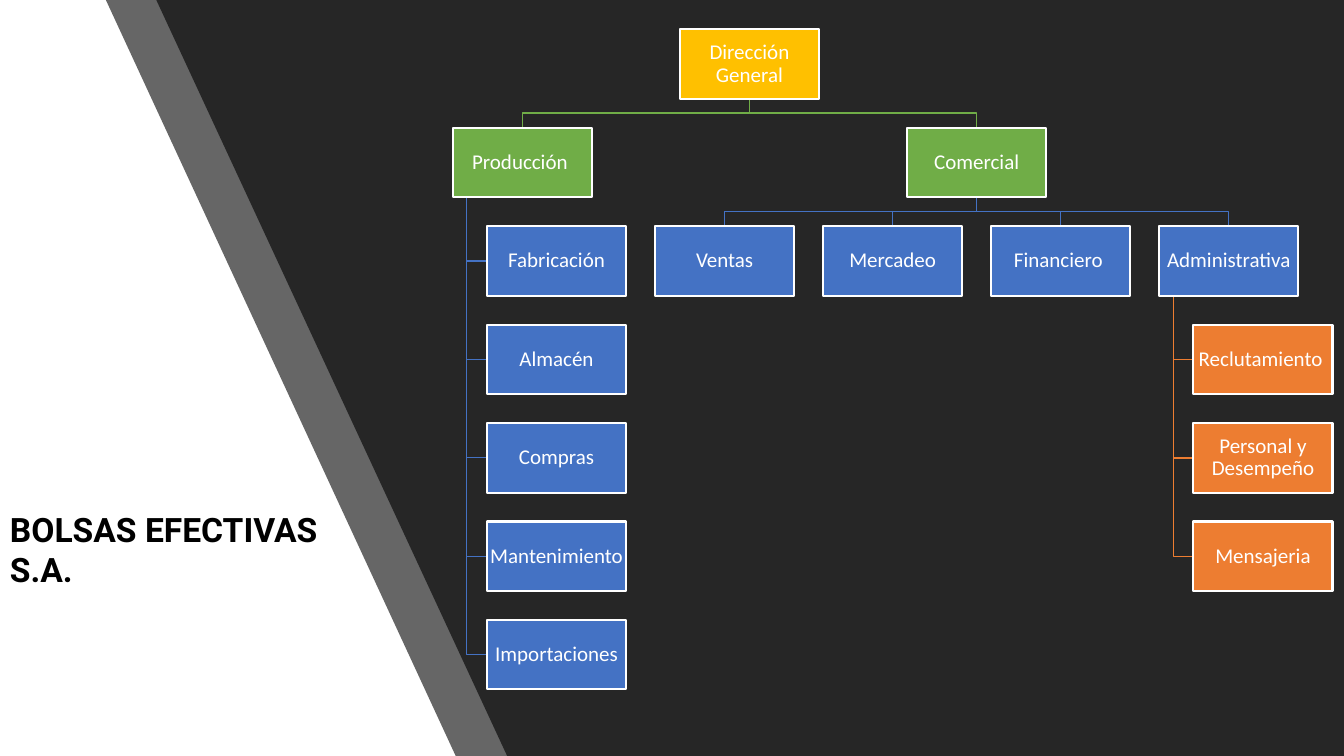
"""Builds the organisation chart slide of a bag maker."""
from lxml import etree
from pptx import Presentation
from pptx.dml.color import RGBColor
from pptx.enum.shapes import MSO_SHAPE
from pptx.enum.text import MSO_ANCHOR, PP_ALIGN
from pptx.oxml.ns import qn
from pptx.util import Inches, Pt

RECTANGLE = MSO_SHAPE.RECTANGLE
MIDDLE = MSO_ANCHOR.MIDDLE
CENTER = PP_ALIGN.CENTER

COMPANY = "BOLSAS EFECTIVAS S.A."
LEVEL_COLORS = ["FFC000", "70AD47", "4472C4", "ED7D31"]
WHITE, BLACK, DARK = "FFFFFF", "000000", "262626"

ROW, COLUMN = "row", "column"
ORGANIZATION = ("Dirección General", ROW, [
    ("Producción ", COLUMN, [
        "Fabricación", "Almacén", "Compras", "Mantenimiento ", "Importaciones"]),
    ("Comercial", ROW, [
        ("Ventas", COLUMN, []),
        ("Mercadeo", COLUMN, []),
        ("Financiero ", COLUMN, []),
        ("Administrativa", COLUMN, [
            "Reclutamiento ", "Personal y Desempeño", "Mensajeria"]),
    ]),
])

SLIDE_W, SLIDE_H = 13.33, 7.5
PANELS = [(1.05, 4.52, 70), (1.55, 5.03, 100)]
CHART_LEFT, CHART_TOP, LAST_TOP = 4.49, 0.29, 6.15
BOX_W, BOX_H = 1.38, 0.69
ROW_PITCH = (LAST_TOP - CHART_TOP) / 6
GAP = ROW_PITCH - BOX_H
INDENT, SPINE = 0.34, 0.14

boxes, branches = [], []


def color(hex_color):
    return RGBColor.from_string(hex_color)


def row_top(row):
    return CHART_TOP + row * ROW_PITCH


def place(unit, left, level):
    """Lay out a unit with its branch; return its box's left and the branch's right edge."""
    name, arrangement, children = unit
    bottom = row_top(level) + BOX_H
    tint = LEVEL_COLORS[level + 1] if children else None
    right = left + BOX_W
    if arrangement == ROW:
        child_lefts, cursor = [], left
        for child in children:
            child_left, right = place(child, cursor, level + 1)
            child_lefts.append(child_left)
            cursor = right + GAP
        left = (child_lefts[0] + child_lefts[-1]) / 2
        middle, bus = left + BOX_W / 2, bottom + GAP / 2
        for child_left in child_lefts:
            center = child_left + BOX_W / 2
            branches.append((tint, [(middle, bottom), (middle, bus),
                                    (center, bus), (center, bottom + GAP)]))
    elif children:
        right += INDENT
        spine, child_left = left + SPINE, left + INDENT
        for row, child in enumerate(children, level + 1):
            boxes.append((child, child_left, row_top(row), tint))
            stub = row_top(row) + BOX_H / 2
            branches.append((tint, [(spine, bottom), (spine, stub), (child_left, stub)]))
    boxes.append((name, left, row_top(level), LEVEL_COLORS[level]))
    return left, right


def draw_outline(slide, points, close):
    start, *others = [(Inches(x), Inches(y)) for x, y in points]
    builder = slide.shapes.build_freeform(*start)
    builder.add_line_segments(others, close=close)
    outline = builder.convert_to_shape()
    outline.shadow.inherit = False
    return outline


def draw_panel(slide, top_x, bottom_x, opacity):
    corners = [(SLIDE_W, SLIDE_H), (bottom_x, SLIDE_H), (top_x, 0), (SLIDE_W, 0)]
    panel = draw_outline(slide, corners, True)
    panel.fill.solid()
    panel.fill.fore_color.rgb = color(DARK)
    panel.line.fill.background()
    if opacity < 100:
        tone = panel.fill._xPr.find(qn("a:solidFill"))[0]
        etree.SubElement(tone, qn("a:alpha")).set("val", str(opacity * 1000))


def draw_branch(slide, tint, points):
    branch = draw_outline(slide, points, False)
    branch.fill.background()
    branch.line.color.rgb = color(tint)
    branch.line.width = Pt(1)


def draw_box(slide, name, left, top, tint):
    box = slide.shapes.add_shape(
        RECTANGLE, Inches(left), Inches(top), Inches(BOX_W), Inches(BOX_H))
    box.shadow.inherit = False
    box.fill.solid()
    box.fill.fore_color.rgb = color(tint)
    box.line.color.rgb = color(WHITE)
    box.line.width = Pt(1.5)
    frame = box.text_frame
    frame.word_wrap = True
    frame.vertical_anchor = MIDDLE
    frame.margin_left = frame.margin_right = Inches(0.01)
    frame.margin_top = frame.margin_bottom = Inches(0.01)
    label = frame.paragraphs[0]
    label.alignment = CENTER
    label.line_spacing = 0.9
    write(label, name, "Calibri", 15, WHITE)


def write(paragraph, text, font, size, tint):
    paragraph.text = text
    paragraph.font.name = font
    paragraph.font.size = Pt(size)
    paragraph.font.color.rgb = color(tint)


presentation = Presentation()
presentation.slide_width = Inches(SLIDE_W)
presentation.slide_height = Inches(SLIDE_H)
slide = presentation.slides.add_slide(presentation.slide_layouts[6])
slide.background.fill.solid()
slide.background.fill.fore_color.rgb = color(WHITE)

for panel in PANELS:
    draw_panel(slide, *panel)

place(ORGANIZATION, CHART_LEFT, 0)
for branch in branches:
    draw_branch(slide, *branch)
for box in boxes:
    draw_box(slide, *box)

title = slide.shapes.add_textbox(Inches(0), Inches(5), Inches(3.64), Inches(0.81))
title.text_frame.word_wrap = True
heading = title.text_frame.paragraphs[0]
write(heading, COMPANY, "Roboto", 24, BLACK)
heading.font.bold = True

presentation.save("out.pptx")
